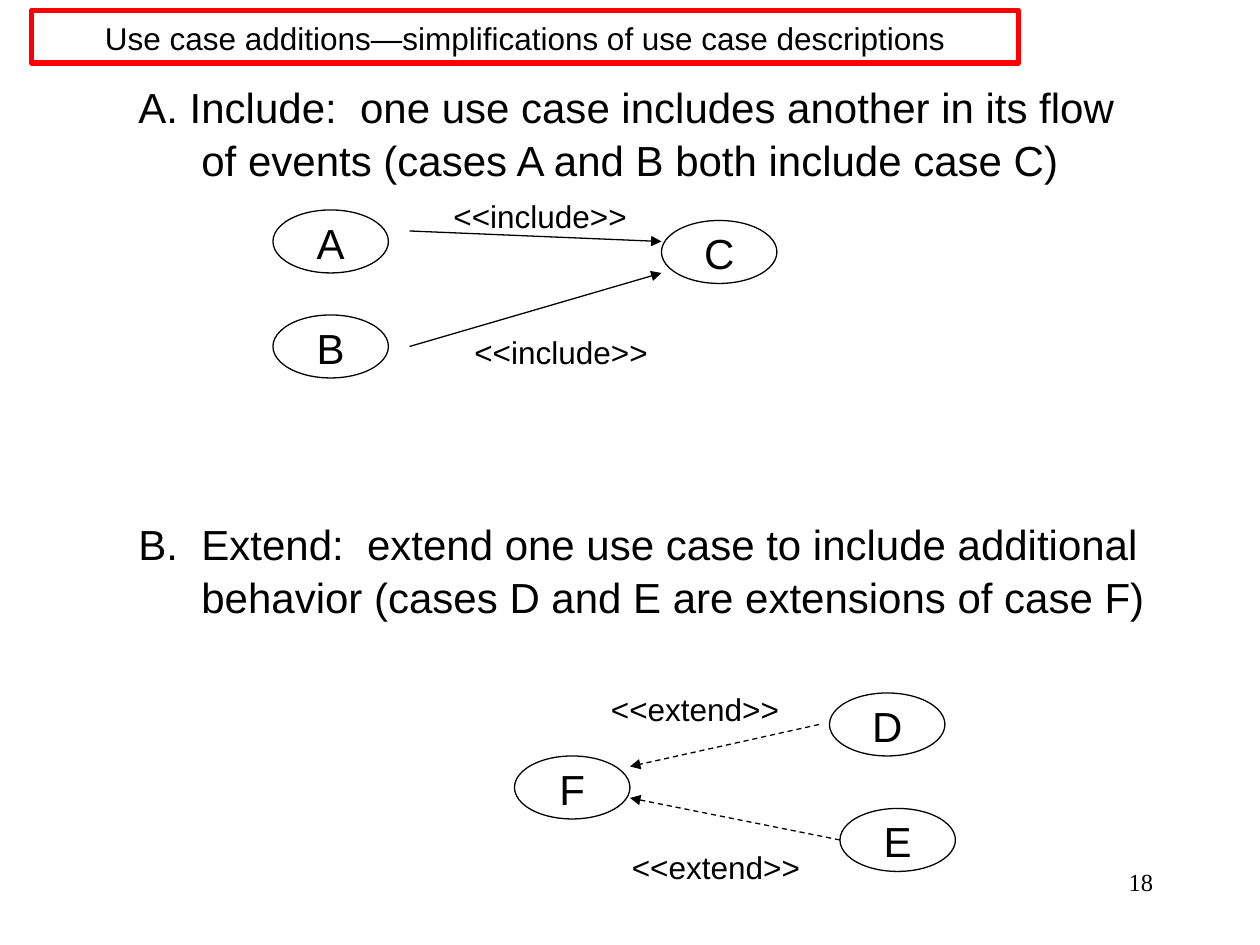
import pptx
import pptx.util
import pptx.dml.color
import pptx.enum.dml
import pptx.enum.shapes
import pptx.enum.text
import pptx.oxml.ns
import lxml.etree

PX = 7620  # EMU per px: 120 px to the inch
BLACK = pptx.dml.color.RGBColor(0, 0, 0)
WHITE = pptx.dml.color.RGBColor(255, 255, 255)
RED = pptx.dml.color.RGBColor(255, 0, 0)
ALIGN = pptx.enum.text.PP_ALIGN
SHAPE = pptx.enum.shapes.MSO_SHAPE
CASE_SIZE = (110, 60)
LABEL_SIZE = (200, 48)


def px(*lengths):
    return [length * PX for length in lengths]


def add_xml(parent, tag, **attributes):
    return lxml.etree.SubElement(parent, pptx.oxml.ns.qn(tag), attributes)


def write(paragraph, text, size, font="Arial", **paragraph_format):
    paragraph.text = text
    if font == "Arial":
        paragraph.line_spacing = 1.04
    for name, value in paragraph_format.items():
        setattr(paragraph, name, value)
    for name, value in {"size": pptx.util.Pt(size), "name": font}.items():
        setattr(paragraph.font, name, value)
    paragraph.font.color.rgb = BLACK


def add_text(slide, box, text, size, **text_format):
    frame = slide.shapes.add_textbox(*px(*box)).text_frame
    frame.word_wrap = True
    write(frame.paragraphs[0], text, size, **text_format)
    return frame


def add_outlined(slide, kind, box, text, size, line_color, line_width):
    outlined = slide.shapes.add_shape(kind, *px(*box))
    outlined.shadow.inherit = False
    outlined.line.color.rgb = line_color
    outlined.line.width = pptx.util.Pt(line_width)
    outlined.text_frame.vertical_anchor = pptx.enum.text.MSO_ANCHOR.MIDDLE
    write(outlined.text_frame.paragraphs[0], text, size, alignment=ALIGN.CENTER)
    return outlined


def add_title(slide, box):
    title = add_outlined(
        slide, SHAPE.RECTANGLE, box,
        "Use case additions—simplifications of use case descriptions", 18, RED, 3)
    title.fill.background()


def add_definitions(slide, box):
    frame = add_text(
        slide, box,
        "A. Include:  one use case includes another in its flow of events "
        "(cases A and B both include case C)", 24)
    extend = frame.add_paragraph()
    for paragraph in (frame.paragraphs[0], extend):
        properties = paragraph._p.get_or_add_pPr()
        for name, value in px_indent().items():
            properties.set(name, value)
    # The second definition is numbered, and leaves room for the diagram above it
    properties = extend._p.get_or_add_pPr()
    add_xml(properties, "a:buFont", typeface="Arial")
    add_xml(properties, "a:buAutoNum", type="alphaUcPeriod", startAt="2")
    write(extend,
          "Extend:  extend one use case to include additional behavior "
          "(cases D and E are extensions of case F)", 24,
          space_before=pptx.util.Pt(190))


def px_indent():
    return {"marL": str(120 * PX), "indent": str(-60 * PX)}


def add_arrow(slide, start, end, dashed):
    arrow = slide.shapes.add_connector(
        pptx.enum.shapes.MSO_CONNECTOR.STRAIGHT, *px(*start, *end))
    arrow.line.color.rgb = BLACK
    arrow.line.width = pptx.util.Pt(0.75)
    if dashed:
        arrow.line.dash_style = pptx.enum.dml.MSO_LINE.DASH
    add_xml(arrow.line._get_or_add_ln(), "a:tailEnd", type="triangle")
    add_xml(arrow._element.spPr, "a:effectLst")


def add_diagram(slide, origin, cases, relation, labels, arrows, dashed=False):
    def place(point):
        return origin[0] + point[0], origin[1] + point[1]

    for name, corner in cases.items():
        case = add_outlined(slide, SHAPE.OVAL, (*place(corner), *CASE_SIZE),
                            name, 24, BLACK, 0.75)
        case.fill.solid()
        case.fill.fore_color.rgb = WHITE
        case.text_frame.word_wrap = False
    for corner in labels:
        add_text(slide, (*place(corner), *LABEL_SIZE), relation, 18)
    for start, end in arrows:
        add_arrow(slide, place(start), place(end), dashed)


def main():
    deck = pptx.Presentation()
    deck.slide_width, deck.slide_height = px(1200, 900)
    slide = deck.slides.add_slide(deck.slide_layouts[6])

    # Page number, title and definitions
    add_text(slide, (860, 820, 250, 60), "18", 14,
             font="Times New Roman", alignment=ALIGN.RIGHT)
    add_title(slide, (30, 10, 940, 50))
    add_definitions(slide, (60, 70, 1050, 740))

    # A and B include C
    add_diagram(
        slide, (260, 180),
        cases={"A": (0, 20), "B": (0, 120), "C": (370, 30)},
        relation="<<include>>", labels=[(160, 0), (180, 130)],
        arrows=[((130, 40), (370, 50)), ((130, 150), (370, 80))])

    # D and E extend F
    add_diagram(
        slide, (490, 650),
        cases={"F": (0, 70), "E": (310, 120), "D": (300, 10)},
        relation="<<extend>>", labels=[(100, 150), (80, 0)],
        arrows=[((290, 40), (110, 80)), ((310, 150), (110, 110))],
        dashed=True)

    deck.save("out.pptx")


if __name__ == "__main__":
    main()
